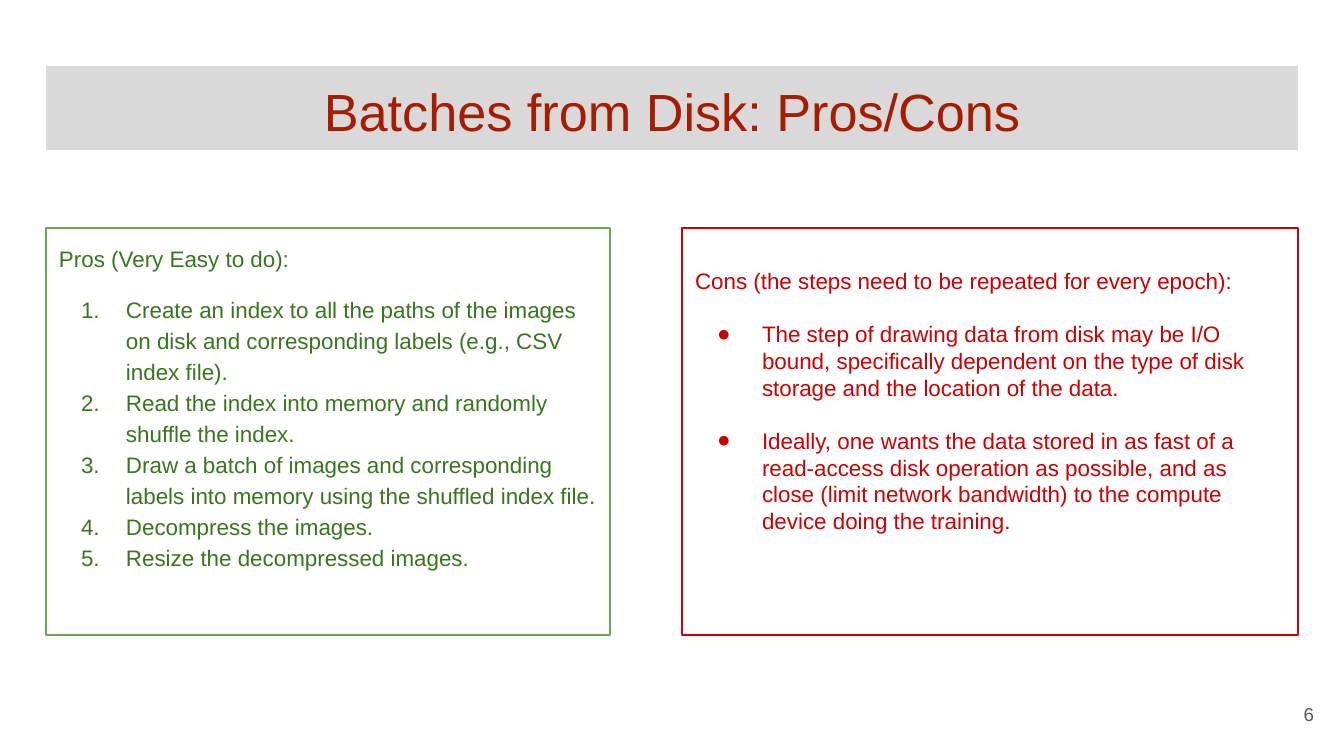
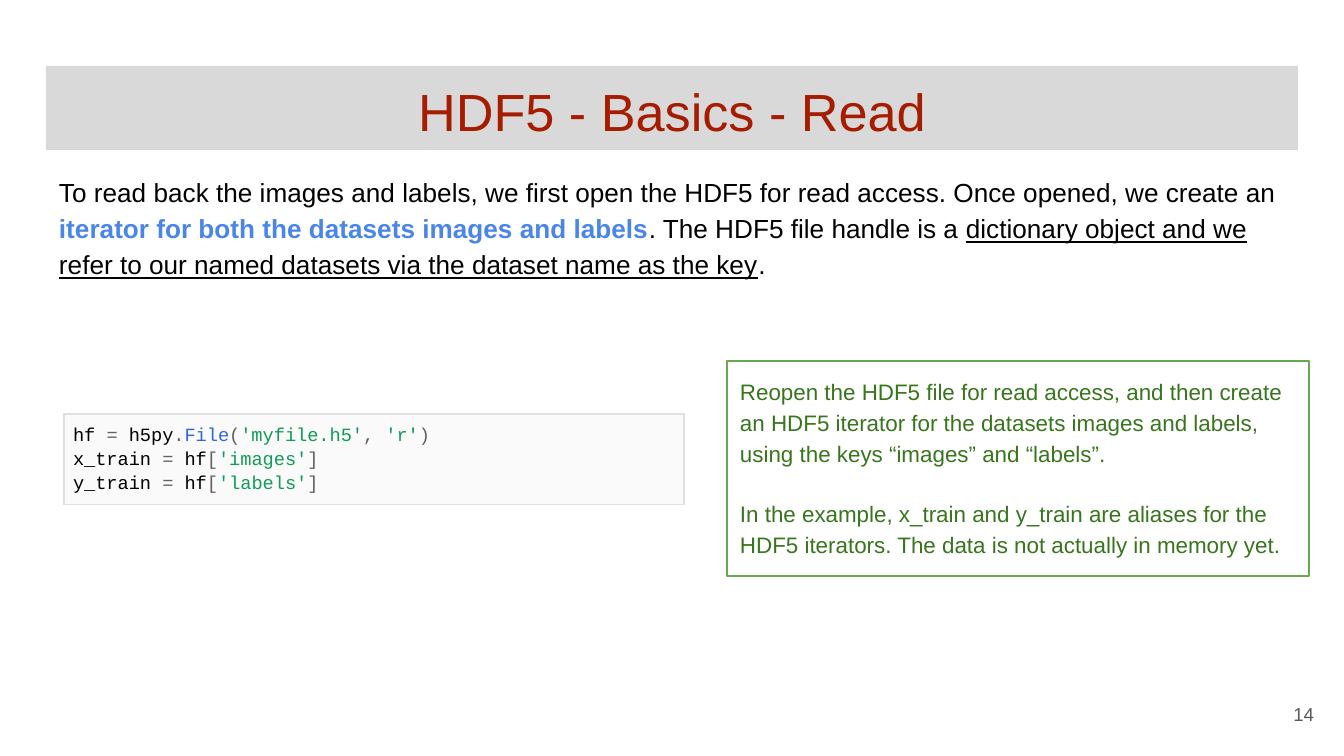
from dataclasses import dataclass

from lxml.etree import SubElement
from pptx import Presentation
from pptx.dml.color import RGBColor as Rgb
from pptx.enum.shapes import MSO_SHAPE as Shape
from pptx.enum.text import MSO_ANCHOR as Anchor, MSO_AUTO_SIZE as Auto, PP_ALIGN as Align
from pptx.oxml.ns import qn
from pptx.util import Emu, Pt


@dataclass(frozen=True)
class Theme:
    font: str = "Arial"
    mono: str = "Courier New"
    band: str = "D9D9D9"
    title: str = "A61C00"
    page: str = "595959"
    ink: str = "000000"
    blue: str = "4A86E8"
    green: str = "38761D"
    rim: str = "6AA84F"
    red: str = "CC0000"
    code: str = "FAFAFA"
    edge: str = "E0E0E0"
    sign: str = "616161"
    call: str = "3367D6"
    quote: str = "0F9D58"
    big: int = 28
    lead: int = 14
    text: int = 12
    small: int = 10


T = Theme()
PAD = 13
LOOSE = 1.15


def px(n):
    """Turn pixels, 1344 to the slide width, into EMU."""
    return Emu(round(n * 9144000 / 1344))


def place(shape, box):
    shape.left, shape.top, shape.width, shape.height = map(px, box)
    return shape


def prep(frame, anchor=Anchor.TOP, top=PAD):
    """Give a text frame its wrapping, anchor and insets."""
    frame.word_wrap = True
    frame.auto_size = Auto.NONE
    frame.vertical_anchor = anchor
    frame.margin_left = frame.margin_right = frame.margin_bottom = px(PAD)
    frame.margin_top = px(top)
    return frame


def mark(props, sign, color):
    """Add a bullet character, or numbers when the sign is '1.'."""
    props.set("marL", str(px(67)))
    props.set("indent", str(px(-45)))
    tint = SubElement(props, qn("a:buClr"))
    SubElement(tint, qn("a:srgbClr"), val=color)
    SubElement(props, qn("a:buFont"), typeface=T.font)
    if sign == "1.":
        SubElement(props, qn("a:buAutoNum"), type="arabicPeriod")
    else:
        SubElement(props, qn("a:buChar"), char=sign)


def write(frame, *runs, color=T.ink, size=T.text, font=T.font, align=Align.LEFT,
          space=1.0, gap=0, sign=None):
    """Add one paragraph; a run is a string or (string, color, format)."""
    para = frame.paragraphs[0]
    if para.runs:
        para = frame.add_paragraph()
    para.alignment = align
    para.line_spacing = space
    para.space_before, para.space_after = Pt(gap), Pt(0)
    props = para._p.get_or_add_pPr()
    if sign:
        mark(props, sign, color)
    else:
        props.set("marL", "0")
        props.set("indent", "0")
        SubElement(props, qn("a:buNone"))
    for item in runs:
        text, tint, *style = (item, color) if isinstance(item, str) else item
        run = para.add_run()
        run.text = text
        face = run.font
        face.name, face.size = font, Pt(size)
        face.color.rgb = Rgb.from_string(tint)
        face.bold = "bold" in style
        face.underline = "line" in style


def frame_line(shape, color):
    shape.line.color.rgb = Rgb.from_string(color)
    shape.line.width = Pt(0.75)


def start(deck, layout, title, page):
    """Add a slide with the title band and page number."""
    slide = deck.slides.add_slide(deck.slide_layouts.get_by_name(layout))
    band = place(slide.shapes.title, (46, 66, 1252, 84))
    band.fill.solid()
    band.fill.fore_color.rgb = Rgb.from_string(T.band)
    write(prep(band.text_frame), title, color=T.title, size=T.big, align=Align.CENTER)
    foot = slide.shapes.add_textbox(*map(px, (1246, 685, 81, 58)))
    write(prep(foot.text_frame, Anchor.MIDDLE), page, color=T.page,
          size=T.small, align=Align.RIGHT)
    return slide


def panel(holder, box, head, items, color, rim, sign, space=1.0, top=PAD, gaps=()):
    """Fill a framed placeholder with a heading and a list."""
    frame_line(place(holder, box), rim)
    frame = prep(holder.text_frame, top=top)
    write(frame, head, color=color, space=space)
    for item, gap in zip(items, gaps):
        write(frame, item, color=color, space=space, gap=gap, sign=sign)


def note(slide, box, *paras):
    shape = slide.shapes.add_shape(Shape.RECTANGLE, *map(px, box))
    shape.shadow.inherit = False
    shape.fill.background()
    frame_line(shape, T.rim)
    frame = prep(shape.text_frame)
    for i, text in enumerate(paras):
        write(frame, text, color=T.green, space=LOOSE, gap=16 if i else 0)


def code(slide, box, lines):
    """Show code lines in a one-cell table with a thin border."""
    table = slide.shapes.add_table(1, 1, *map(px, box)).table
    table.first_row = table.horz_banding = False
    cell = table.cell(0, 0)
    cell.margin_left = cell.margin_right = cell.margin_top = cell.margin_bottom = px(9)
    cell.fill.solid()
    cell.fill.fore_color.rgb = Rgb.from_string(T.code)
    props = cell._tc.get_or_add_tcPr()
    for i, side in enumerate(("lnL", "lnR", "lnT", "lnB")):
        line = SubElement(props, qn(f"a:{side}"), w=str(Pt(1)))
        fill = SubElement(line, qn("a:solidFill"))
        SubElement(fill, qn("a:srgbClr"), val=T.edge)
        props.insert(i, line)
    for runs in lines:
        write(cell.text_frame, *runs, size=T.small, font=T.mono, space=LOOSE)


def sign(text):
    return text, T.sign


def quote(text):
    return f"'{text}'", T.quote


def fetch(name, key):
    """Runs of a line that takes a dataset by its key."""
    return f"{name} ", sign("="), " hf", sign("["), quote(key), sign("]")


def pros_cons(deck):
    slide = start(deck, "Two Content", "Batches from Disk: Pros/Cons", "6")
    left, right = slide.placeholders[1], slide.placeholders[2]
    steps = (
        "Create an index to all the paths of the images on disk and corresponding "
        "labels (e.g., CSV index file).",
        "Read the index into memory and randomly shuffle the index.",
        "Draw a batch of images and corresponding labels into memory using the "
        "shuffled index file.",
        "Decompress the images.",
        "Resize the decompressed images.",
    )
    panel(left, (46, 228, 564, 407), "Pros (Very Easy to do):", steps,
          T.green, T.rim, "1.", space=LOOSE, gaps=(11, 0, 0, 0, 0))
    limits = (
        "The step of drawing data from disk may be I/O bound, specifically dependent "
        "on the type of disk storage and the location of the data.",
        "Ideally, one wants the data stored in as fast of a read-access disk operation "
        "as possible, and as close (limit network bandwidth) to the compute device "
        "doing the training.",
    )
    panel(right, (682, 228, 616, 407),
          "Cons (the steps need to be repeated for every epoch):", limits,
          T.red, T.red, "●", top=PAD + 26, gaps=(14, 14))


def read_back(deck):
    slide = start(deck, "Title and Content", "HDF5 - Basics - Read", "14")
    intro = place(slide.placeholders[1], (46, 159, 1246, 173))
    write(prep(intro.text_frame),
          "To read back the images and labels, we first open the HDF5 for read access. "
          "Once opened, we create an ",
          ("iterator for both the datasets images and labels", T.blue, "bold"),
          ". The HDF5 file handle is a ",
          ("dictionary object and we refer to our named datasets via the dataset name "
           "as the key", T.ink, "line"),
          ".", size=T.lead, space=LOOSE)
    code(slide, (64, 414, 620, 74), (
        ("hf ", sign("="), " h5py", sign("."), ("File", T.call), sign("("),
         quote("myfile.h5"), sign(", "), quote("r"), sign(")")),
        fetch("x_train", "images"),
        fetch("y_train", "labels"),
    ))
    note(slide, (727, 361, 582, 215),
         "Reopen the HDF5 file for read access, and then create an HDF5 iterator for "
         "the datasets images and labels, using the keys “images” and “labels”.",
         "In the example, x_train and y_train are aliases for the HDF5 iterators. "
         "The data is not actually in memory yet.")


def main():
    deck = Presentation()
    deck.slide_width, deck.slide_height = px(1344), px(756)
    pros_cons(deck)
    read_back(deck)
    deck.save("out.pptx")


if __name__ == "__main__":
    main()
